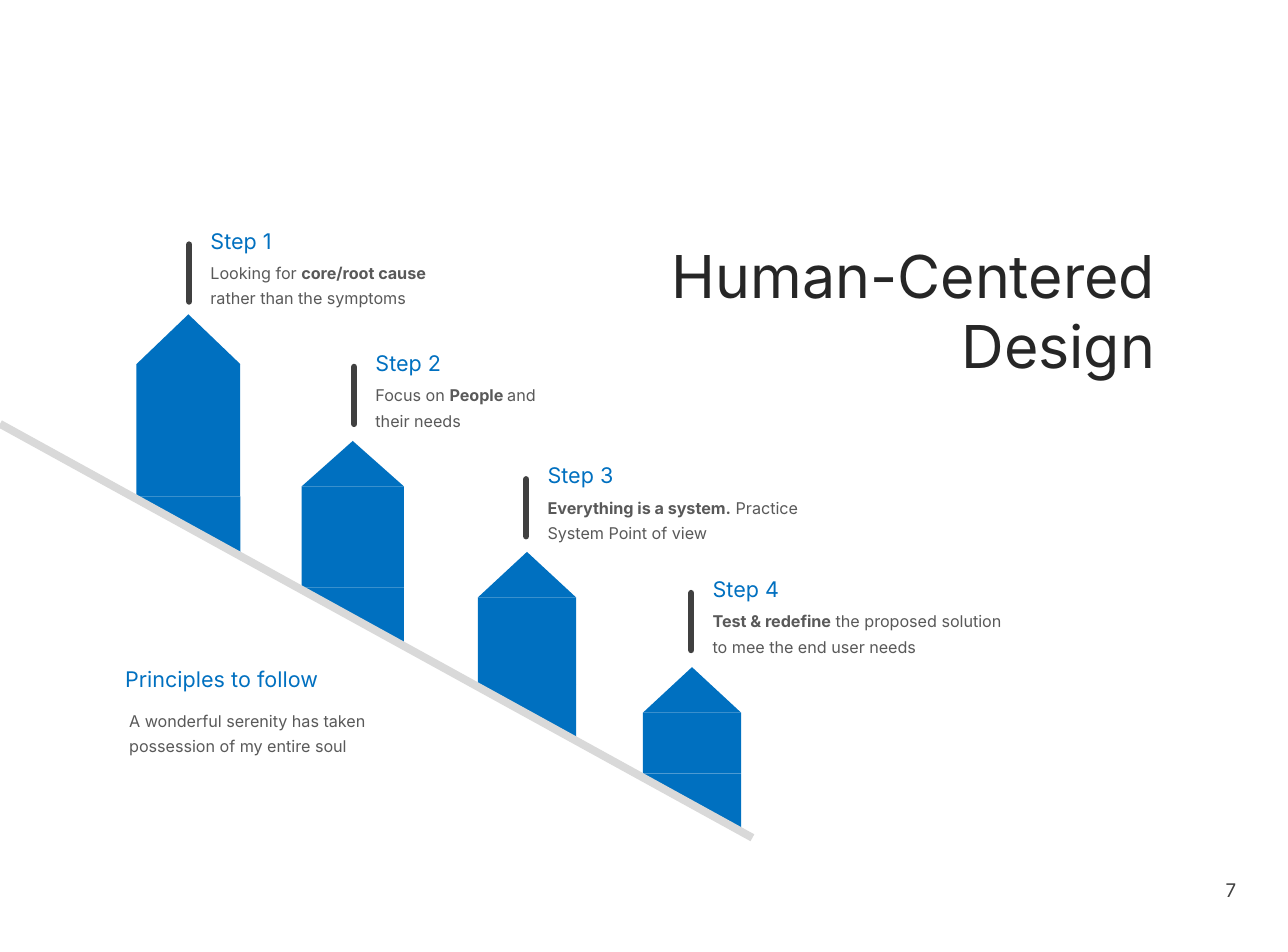
from dataclasses import dataclass

from lxml.etree import SubElement
from pptx import Presentation
from pptx.dml.color import RGBColor
from pptx.enum.shapes import MSO_CONNECTOR, MSO_SHAPE
from pptx.enum.text import MSO_ANCHOR, MSO_AUTO_SIZE, PP_ALIGN
from pptx.oxml.ns import qn
from pptx.slide import Slide
from pptx.text.text import TextFrame
from pptx.util import Inches, Pt

COLORS = {
    "blue": "0070C0",
    "slope": "D9D9D9",
    "marker": "404040",
    "body": "595959",
    "title": "262626",
}
FONT = "Inter"
HEADING_SIZE = 10.9
BODY_SIZE = 8.2
FOOT_HEIGHT = 0.41
CENTIMETRES_PER_INCH = 2.54
TIGHT = (0.07, 0.03)
ROOMY = (0.1, 0.05)


@dataclass
class Run:
    text: str
    bold: bool = False


@dataclass
class TextStyle:
    size: float
    color: str
    align: PP_ALIGN = PP_ALIGN.LEFT
    line_spacing: float = 1.0
    space_after: float = 0
    insets: tuple[float, float] = TIGHT


@dataclass
class Pillar:
    left: float
    top: float
    width: float
    roof: float
    wall: float


@dataclass
class Step:
    left: float
    top: float
    body_width: float
    runs: list[Run]


HEADING = TextStyle(HEADING_SIZE, "blue")
STEP_BODY = TextStyle(BODY_SIZE, "body", line_spacing=1.3, space_after=6)
PRINCIPLES_BODY = TextStyle(BODY_SIZE, "body", line_spacing=1.3, space_after=4.1, insets=ROOMY)
TITLE = TextStyle(29.9, "title", PP_ALIGN.RIGHT)
PAGE_NUMBER = TextStyle(9.5, "marker", PP_ALIGN.RIGHT, insets=ROOMY)

PILLARS = [
    Pillar(0.96, 2.21, 0.73, 0.35, 0.93),
    Pillar(2.12, 3.1, 0.72, 0.32, 0.71),
    Pillar(3.36, 3.88, 0.69, 0.32, 0.61),
    Pillar(4.52, 4.69, 0.69, 0.32, 0.43),
]
STEPS = [
    Step(1.41, 1.57, 1.84, [Run("Looking for "), Run("core/root cause", True), Run(" rather than the symptoms")]),
    Step(2.57, 2.43, 1.43, [Run("Focus on "), Run("People ", True), Run("and their needs")]),
    Step(3.78, 3.22, 2.09, [Run("Everything is a system.", True), Run(" Practice System Point of view")]),
    Step(4.94, 4.02, 2.2, [Run("Test & redefine", True), Run(" the proposed solution to mee the end user needs")]),
]


def color_of(name: str) -> RGBColor:
    """Return the named palette colour."""
    return RGBColor.from_string(COLORS[name])


def write_text(frame: TextFrame, runs: list[Run], style: TextStyle) -> None:
    """Fill a text frame with one styled paragraph."""
    frame.word_wrap = True
    frame.auto_size = MSO_AUTO_SIZE.NONE
    frame.vertical_anchor = MSO_ANCHOR.TOP
    horizontal, vertical = style.insets
    frame.margin_left = frame.margin_right = Inches(horizontal)
    frame.margin_top = frame.margin_bottom = Inches(vertical)
    paragraph = frame.paragraphs[0]
    paragraph.alignment = style.align
    paragraph.line_spacing = style.line_spacing
    paragraph.space_before = Pt(0)
    paragraph.space_after = Pt(style.space_after)
    for item in runs:
        run = paragraph.add_run()
        run.text = item.text
        run.font.name = FONT
        run.font.size = Pt(style.size)
        run.font.bold = item.bold
        run.font.color.rgb = color_of(style.color)


def add_text(slide: Slide, left: float, top: float, width: float, height: float,
             runs: list[Run], style: TextStyle) -> None:
    """Add a text box."""
    box = slide.shapes.add_textbox(Inches(left), Inches(top), Inches(width), Inches(height))
    write_text(box.text_frame, runs, style)


def add_line(slide: Slide, start: tuple[float, float], end: tuple[float, float],
             color: str, width: float, round_cap: bool = False) -> None:
    """Add a straight line without a shadow."""
    connector = slide.shapes.add_connector(
        MSO_CONNECTOR.STRAIGHT, *(Inches(value) for value in (*start, *end)))
    connector.line.color.rgb = color_of(color)
    connector.line.width = Pt(width)
    if round_cap:
        connector.line._get_or_add_ln().set("cap", "rnd")
    SubElement(connector._element.spPr, qn("a:effectLst"))


def add_pillar(slide: Slide, pillar: Pillar) -> None:
    """Add a grouped pillar with a roof, a wall and a slanted foot."""
    group = slide.shapes.add_group_shape()
    top = pillar.top
    for preset, height, rotation in (
        (MSO_SHAPE.ISOSCELES_TRIANGLE, pillar.roof, 0),
        (MSO_SHAPE.RECTANGLE, pillar.wall, 0),
        (MSO_SHAPE.RIGHT_TRIANGLE, FOOT_HEIGHT, 180),
    ):
        shape = group.shapes.add_shape(
            preset, Inches(pillar.left), Inches(top), Inches(pillar.width), Inches(height))
        shape.rotation = rotation
        shape.shadow.inherit = False
        shape.fill.solid()
        shape.fill.fore_color.rgb = color_of("blue")
        shape.line.fill.background()
        top += height


def add_step(slide: Slide, number: int, step: Step) -> None:
    """Add a step's body, heading and marker."""
    add_text(slide, step.left, step.top + 0.21, step.body_width, 0.43, step.runs, STEP_BODY)
    add_text(slide, step.left, step.top, 1.26, 0.25, [Run(f"Step {number}")], HEADING)
    marker_x, marker_top = step.left - 0.08, step.top + 0.15
    add_line(slide, (marker_x, marker_top), (marker_x, marker_top + 0.4), "marker", 3.25, True)


def main() -> None:
    """Build and save the slide."""
    presentation = Presentation()
    presentation.slide_width = Inches(23 / CENTIMETRES_PER_INCH)
    presentation.slide_height = Inches(17 / CENTIMETRES_PER_INCH)
    slide = presentation.slides.add_slide(presentation.slide_layouts[5])

    title = slide.shapes.title
    title.left, title.top = Inches(4.53), Inches(1.65)
    title.width, title.height = Inches(3.66), Inches(1.07)
    write_text(title.text_frame, [Run("Human-Centered Design")], TITLE)

    for pillar in PILLARS:
        add_pillar(slide, pillar)
    add_line(slide, (5.29, 5.89), (0, 2.98), "slope", 4)
    for number, step in enumerate(STEPS, 1):
        add_step(slide, number, step)

    add_text(slide, 0.81, 4.91, 2.22, 0.46,
             [Run("A wonderful serenity has taken possession of my entire soul")], PRINCIPLES_BODY)
    add_text(slide, 0.81, 4.65, 2.02, 0.25, [Run("Principles to follow")], HEADING)
    add_text(slide, 8.22, 6.13, 0.57, 0.26, [Run("7")], PAGE_NUMBER)
    presentation.save("out.pptx")


if __name__ == "__main__":
    main()
